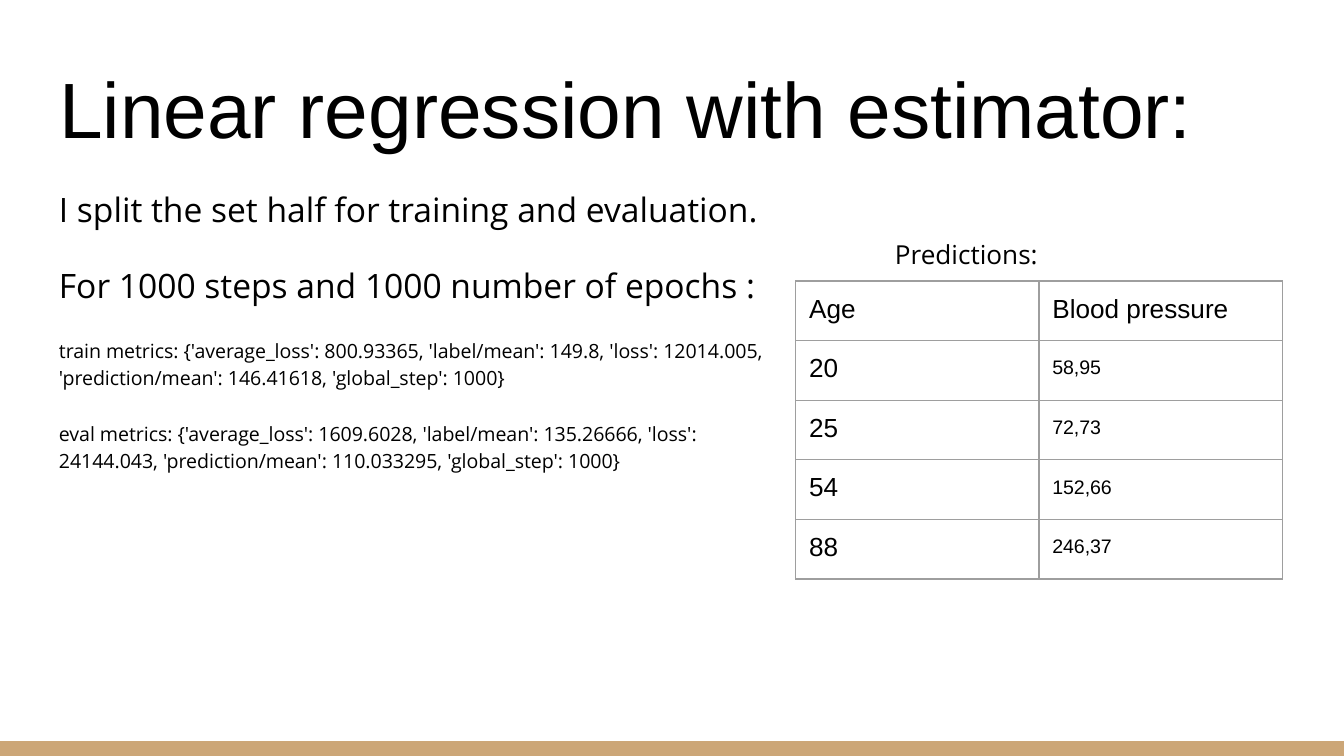
import dataclasses
import typing

import lxml.etree
import pptx
import pptx.dml.color
import pptx.enum.shapes
import pptx.enum.text
import pptx.oxml.ns
import pptx.util

Inches, Pt = pptx.util.Inches, pptx.util.Pt
RGB = pptx.dml.color.RGBColor


@dataclasses.dataclass(frozen=True)
class Theme:
    ink: str = "000000"
    paper: str = "FFFFFF"
    accent: str = "CCA677"
    border: str = "9E9E9E"
    border_width: float = 0.75
    display: str = "Arial"
    text: str = "Open Sans"
    title_size: float = 42
    lead_size: float = 18
    label_size: float = 14
    detail_size: float = 10.5
    leading: float = 1.15
    gap: float = 16
    inset: float = 0.1


@dataclasses.dataclass(frozen=True)
class Line:
    text: str
    size: float
    font: str
    leading: float = 1.0
    before: float = 0


@dataclasses.dataclass(frozen=True)
class Box:
    left: float
    top: float
    width: float
    height: float

    def emu(self) -> tuple[int, ...]:
        return tuple(Inches(n) for n in dataclasses.astuple(self))


THEME = Theme()
WIDTH = 10
HEIGHT = WIDTH * 9 / 16
MARGIN = 0.34
BAND_HEIGHT = 0.11
TABLE_WIDTH, TABLE_HEIGHT = 3.62, 2.22

METRICS = (
    ("I split the set half for training and evaluation.", THEME.lead_size),
    ("For 1000 steps and 1000 number of epochs :", THEME.lead_size),
    ("train metrics: {'average_loss': 800.93365, 'label/mean': 149.8, 'loss': 12014.005, "
     "'prediction/mean': 146.41618, 'global_step': 1000}", THEME.detail_size),
    ("eval metrics: {'average_loss': 1609.6028, 'label/mean': 135.26666, 'loss': 24144.043, "
     "'prediction/mean': 110.033295, 'global_step': 1000}", THEME.detail_size),
)
PREDICTIONS = (
    ("Age", "Blood pressure"),
    ("20", "58,95"),
    ("25", "72,73"),
    ("54", "152,66"),
    ("88", "246,37"),
)


def set_insets(holder: typing.Any) -> None:
    for side in ("left", "top", "right", "bottom"):
        setattr(holder, f"margin_{side}", Inches(THEME.inset))


def write(frame: typing.Any, lines: typing.Sequence[Line]) -> None:
    for index, line in enumerate(lines):
        paragraph = frame.paragraphs[0] if index == 0 else frame.add_paragraph()
        paragraph.alignment = pptx.enum.text.PP_ALIGN.LEFT
        paragraph.line_spacing = line.leading
        paragraph.space_before = Pt(line.before)
        run = paragraph.add_run()
        run.text = line.text
        run.font.size = Pt(line.size)
        run.font.name = line.font
        run.font.color.rgb = RGB.from_string(THEME.ink)


def fill_frame(shape: typing.Any, lines: typing.Sequence[Line],
               anchor: typing.Any = pptx.enum.text.MSO_ANCHOR.TOP) -> None:
    frame = shape.text_frame
    frame.word_wrap = True
    frame.auto_size = pptx.enum.text.MSO_AUTO_SIZE.NONE
    frame.vertical_anchor = anchor
    set_insets(frame)
    write(frame, lines)


def outline_cell(cell: typing.Any) -> None:
    properties = cell._tc.get_or_add_tcPr()
    qn = pptx.oxml.ns.qn
    for index, edge in enumerate(("a:lnL", "a:lnR", "a:lnT", "a:lnB")):
        line = lxml.etree.Element(qn(edge), w=str(Pt(THEME.border_width)))
        fill = lxml.etree.SubElement(line, qn("a:solidFill"))
        lxml.etree.SubElement(fill, qn("a:srgbClr"), val=THEME.border)
        properties.insert(index, line)


def add_predictions(slide: typing.Any, area: Box) -> None:
    rows, columns = len(PREDICTIONS), len(PREDICTIONS[0])
    table = slide.shapes.add_table(rows, columns, *area.emu()).table
    table.first_row = table.horz_banding = False
    for r, record in enumerate(PREDICTIONS):
        for c, value in enumerate(record):
            cell = table.cell(r, c)
            cell.fill.background()
            set_insets(cell)
            outline_cell(cell)
            predicted = r > 0 and c == 1
            size = THEME.detail_size if predicted else THEME.label_size
            leading = THEME.leading if predicted else 1.0
            write(cell.text_frame, [Line(value, size, THEME.display, leading)])


def main() -> None:
    deck = pptx.Presentation()
    deck.slide_width, deck.slide_height = Inches(WIDTH), Inches(HEIGHT)
    slide = deck.slides.add_slide(deck.slide_layouts[5])
    slide.background.fill.solid()
    slide.background.fill.fore_color.rgb = RGB.from_string(THEME.paper)

    # Band along the bottom edge
    band_area = Box(0, HEIGHT - BAND_HEIGHT, WIDTH, BAND_HEIGHT)
    band = slide.shapes.add_shape(pptx.enum.shapes.MSO_SHAPE.RECTANGLE, *band_area.emu())
    band.shadow.inherit = False
    band.fill.solid()
    band.fill.fore_color.rgb = RGB.from_string(THEME.accent)
    band.line.fill.background()

    # Title
    title = slide.shapes.title
    title_area = Box(MARGIN, 0.35, WIDTH - 2 * MARGIN, 0.9)
    title.left, title.top, title.width, title.height = title_area.emu()
    fill_frame(title, [Line("Linear regression with estimator:", THEME.title_size, THEME.display)],
               pptx.enum.text.MSO_ANCHOR.BOTTOM)

    # Training and evaluation metrics
    metrics = slide.shapes.add_textbox(*Box(MARGIN, 1.26, 5.51, 3.87).emu())
    fill_frame(metrics, [
        Line(text, size, THEME.text, THEME.leading, THEME.gap if index else 0)
        for index, (text, size) in enumerate(METRICS)
    ])

    # Predictions table and its caption
    add_predictions(slide, Box(5.92, 2.09, TABLE_WIDTH, TABLE_HEIGHT))
    caption = slide.shapes.add_textbox(*Box(6.56, 1.67, 4.45, 0.52).emu())
    fill_frame(caption, [Line("Predictions:", THEME.label_size, THEME.text)])

    deck.save("out.pptx")


if __name__ == "__main__":
    main()
